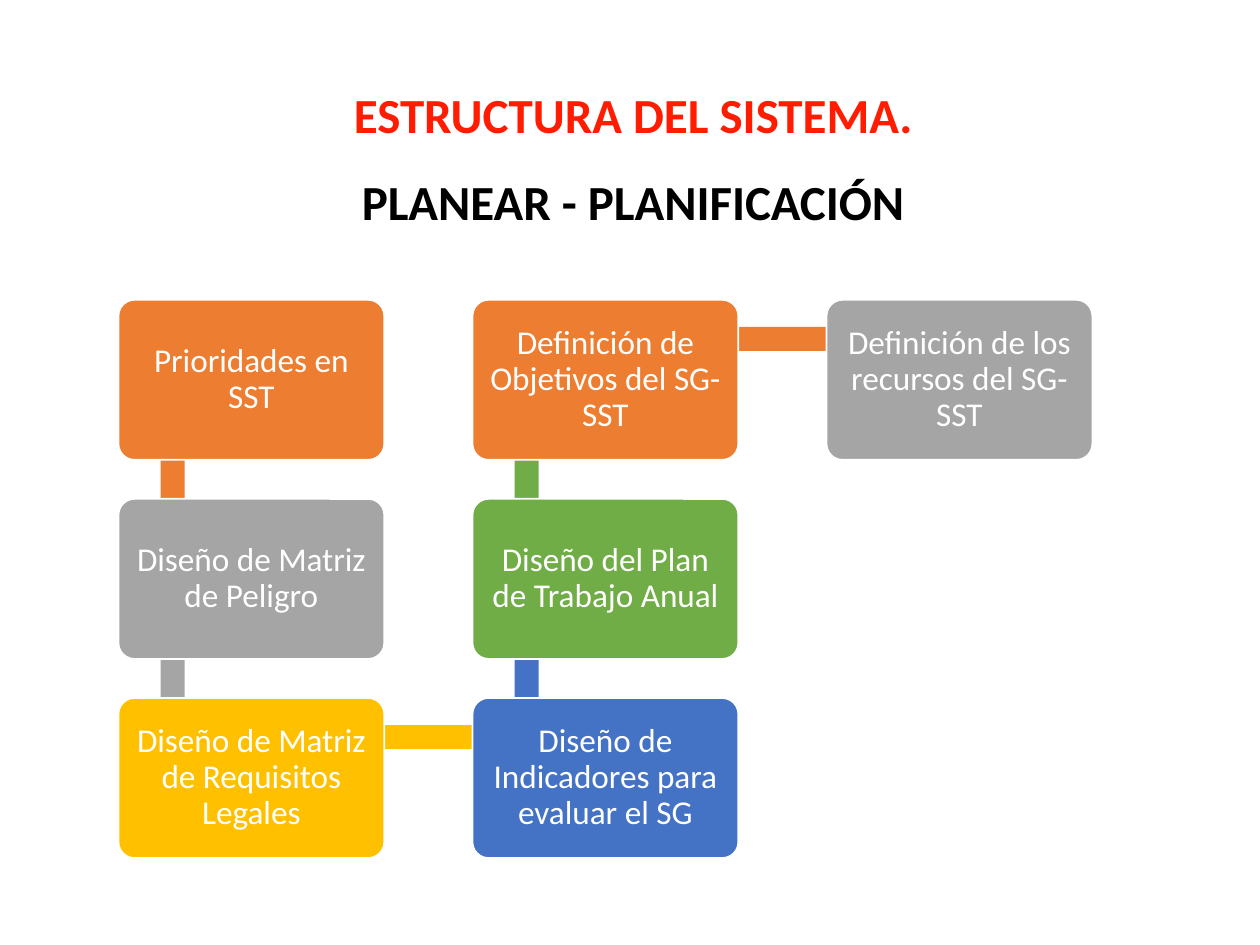
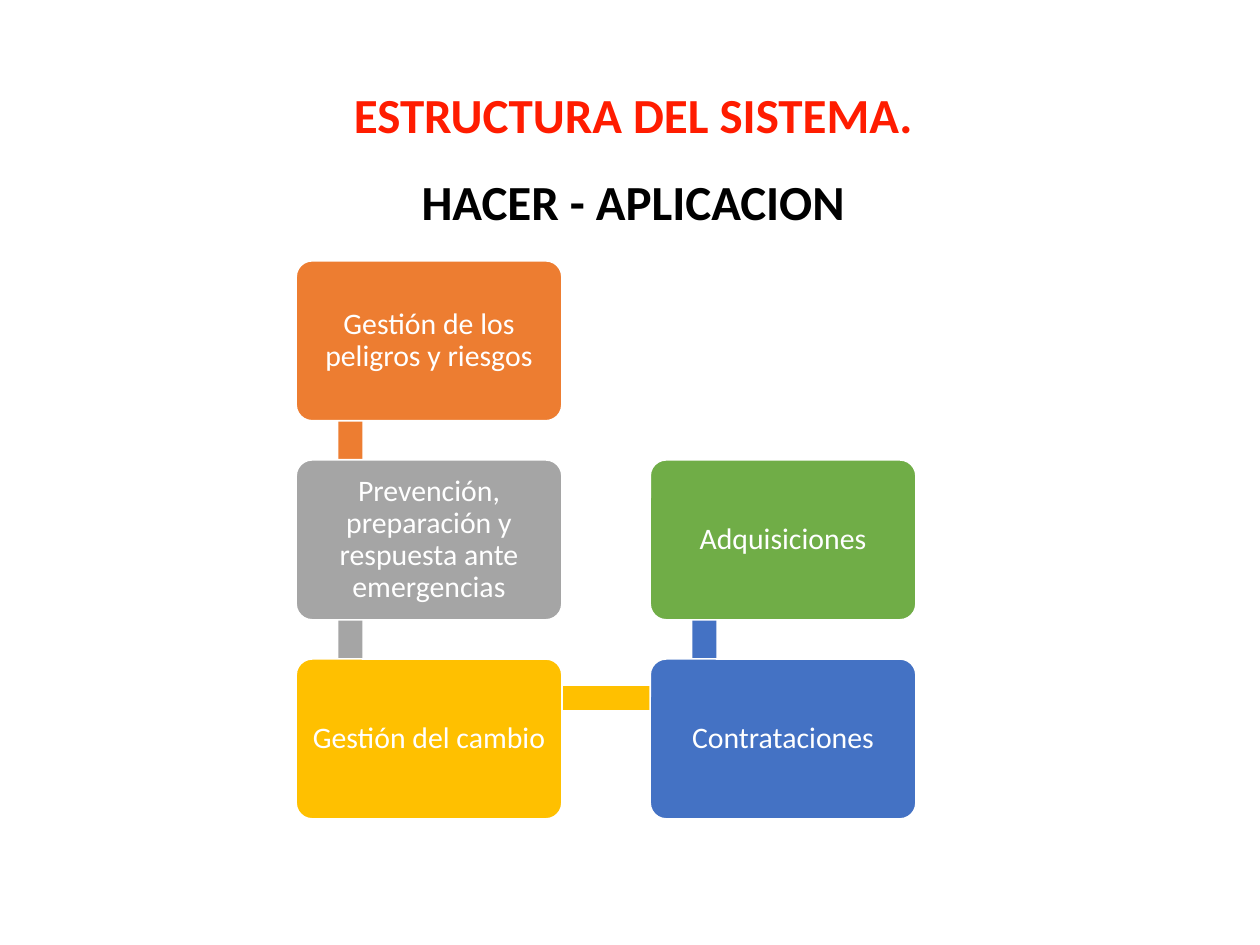
from itertools import cycle

from pptx import Presentation
from pptx.dml.color import RGBColor
from pptx.enum.shapes import MSO_SHAPE as SHAPE
from pptx.enum.text import MSO_ANCHOR as ANCHOR, MSO_AUTO_SIZE as AUTO, PP_ALIGN as ALIGN
from pptx.util import Inches, Pt

RED = RGBColor(0xFF, 0x1C, 0x00)
BLACK = RGBColor(0x00, 0x00, 0x00)
WHITE = RGBColor(0xFF, 0xFF, 0xFF)
ORANGE = RGBColor(0xED, 0x7D, 0x31)
GRAY = RGBColor(0xA5, 0xA5, 0xA5)
YELLOW = RGBColor(0xFF, 0xC0, 0x00)
BLUE = RGBColor(0x44, 0x72, 0xC4)
GREEN = RGBColor(0x70, 0xAD, 0x47)
STEP_COLORS = (ORANGE, GRAY, YELLOW, BLUE, GREEN)

FONT = "Calibri"
TITLE = "ESTRUCTURA DEL SISTEMA."
ROWS = 3
BOX_W, BOX_H = 2.11, 1.27
COL_STEP, ROW_STEP = 2.81, 1.58
BAR_DX, BAR_DY, BAR_H = 0.43, 0.31, 0.19


class Deck:
    def __init__(self):
        self.prs = Presentation()
        self.prs.slide_width = Inches(10)
        self.prs.slide_height = Inches(7.5)
        self.s = None

    def new_slide(self, subtitle):
        self.s = self.prs.slides.add_slide(self.prs.slide_layouts[5])
        self.heading(self.s.shapes.title, 0.62, TITLE, RED)
        box = self.s.shapes.add_textbox(0, 0, 0, 0)
        self.heading(box, 1.31, subtitle, BLACK)

    def set_text(self, sp, text, size, color, bold=False):
        tf = sp.text_frame
        tf.word_wrap = True
        tf.text = text
        p = tf.paragraphs[0]
        p.alignment = ALIGN.CENTER
        font = p.runs[0].font
        font.name, font.size, font.bold = FONT, Pt(size), bold
        font.color.rgb = color
        return tf

    def heading(self, sp, top, text, color):
        sp.left, sp.top = Inches(0.79), Inches(top)
        sp.width, sp.height = Inches(8.47), Inches(0.57)
        tf = self.set_text(sp, text, 28, color, bold=True)
        tf.vertical_anchor = ANCHOR.TOP
        tf.auto_size = AUTO.SHAPE_TO_FIT_TEXT

    def shape(self, kind, x, y, w, h, color):
        sp = self.s.shapes.add_shape(kind, Inches(x), Inches(y), Inches(w), Inches(h))
        sp.shadow.inherit = False
        sp.fill.solid()
        sp.fill.fore_color.rgb = color
        sp.line.fill.background()
        return sp

    def bar(self, start, end, color):
        (x1, y1), (x2, y2) = start, end
        length = abs(x2 - x1) + abs(y2 - y1)
        mid_x = (x1 + x2) / 2 + BAR_DX
        mid_y = (y1 + y2) / 2 + BAR_DY
        sp = self.shape(SHAPE.RECTANGLE, mid_x - length / 2, mid_y - BAR_H / 2,
                        length, BAR_H, color)
        if x1 == x2:
            sp.rotation = 90 if y2 > y1 else 270

    def box(self, pos, text, color, size, inset):
        sp = self.shape(SHAPE.ROUNDED_RECTANGLE, *pos, BOX_W, BOX_H, color)
        sp.adjustments[0] = 0.1
        sp.line.color.rgb = WHITE
        sp.line.width = Pt(1)
        tf = self.set_text(sp, text, size, WHITE)
        tf.vertical_anchor = ANCHOR.MIDDLE
        tf.margin_left = tf.margin_right = Inches(inset)
        tf.margin_top = tf.margin_bottom = Inches(inset)
        tf.paragraphs[0].line_spacing = 0.9

    def snake(self, left, top, steps, size, inset):
        spots = []
        for i in range(len(steps)):
            col, row = divmod(i, ROWS)
            if col % 2:
                row = ROWS - 1 - row
            spots.append((left + col * COL_STEP, top + row * ROW_STEP))
        for i, (pos, text, color) in enumerate(zip(spots, steps, cycle(STEP_COLORS))):
            if i + 1 < len(spots):
                self.bar(pos, spots[i + 1], color)
            self.box(pos, text, color, size, inset)


def main():
    deck = Deck()

    deck.new_slide("PLANEAR - PLANIFICACIÓN")
    deck.snake(0.94, 2.38, [
        "Prioridades en SST",
        "Diseño de Matriz de Peligro",
        "Diseño de Matriz de Requisitos Legales",
        "Diseño de Indicadores para evaluar el SG",
        "Diseño del Plan de Trabajo Anual",
        "Definición de Objetivos del SG-SST",
        "Definición de los recursos del SG-SST",
    ], size=19, inset=0.08)

    deck.new_slide("HACER - APLICACION")
    deck.snake(2.35, 2.07, [
        "Gestión de los peligros y riesgos",
        "Prevención, preparación y respuesta ante emergencias",
        "Gestión del cambio",
        "Contrataciones",
        "Adquisiciones",
    ], size=17, inset=0.07)

    deck.prs.save("out.pptx")


if __name__ == "__main__":
    main()
